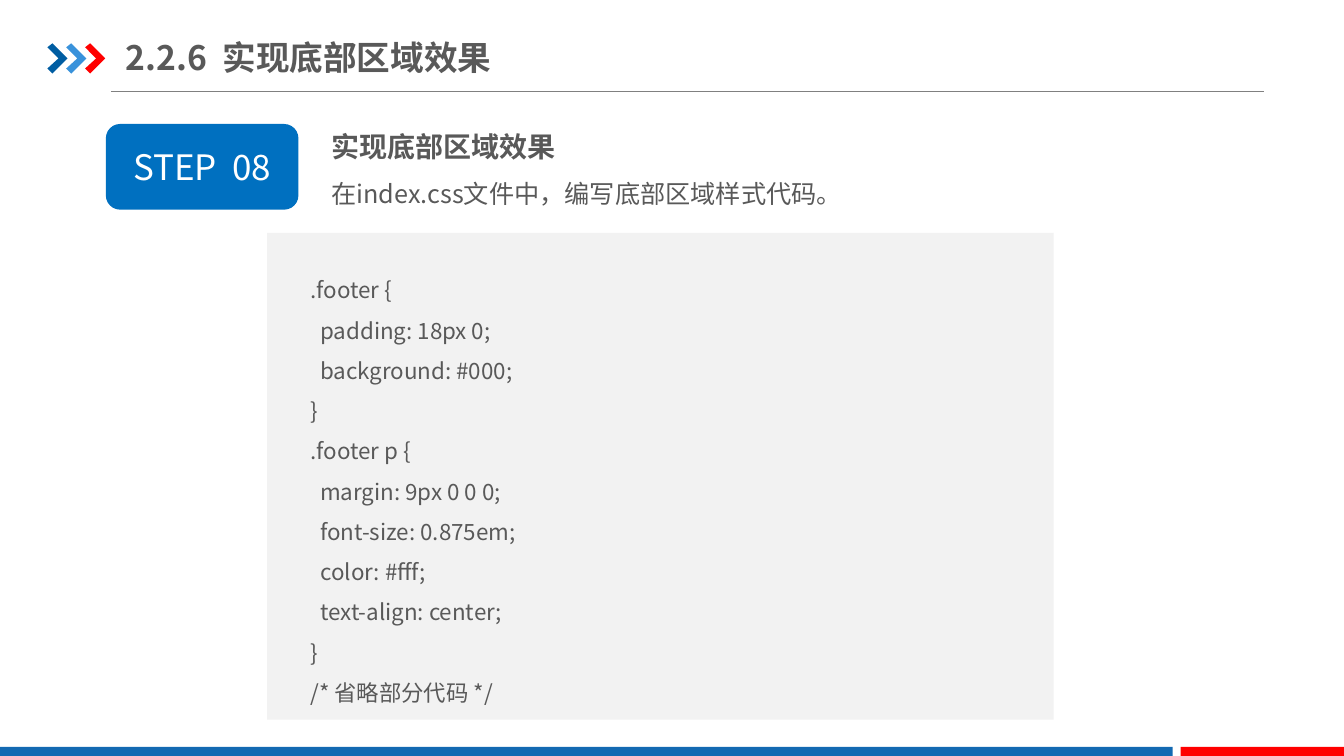
from dataclasses import dataclass

from lxml import etree
from pptx import Presentation
from pptx import util as u
from pptx.dml.color import RGBColor
from pptx.enum import shapes, text
from pptx.oxml.ns import qn

COLUMNS, ROWS = 133.3, 75
CELL = u.Inches(0.1)

CODE = """.footer {
  padding: 18px 0;
  background: #000;
}
.footer p {
  margin: 9px 0 0 0;
  font-size: 0.875em;
  color: #fff;
  text-align: center;
}
/* 省略部分代码 */"""


@dataclass(frozen=True)
class Theme:
    font: str = "Noto Sans CJK SC"
    ink: str = "595959"
    white: str = "FFFFFF"
    rule: str = "808080"
    panel: str = "F2F2F2"
    badge: str = "0070C0"
    footer: str = "1369B2"
    accent: str = "FF0000"
    chevrons: tuple = ("005DA2", "3992DB", "FF0000")
    title_size: int = 24
    badge_size: int = 25
    heading_size: int = 20
    body_size: int = 18
    code_size: int = 16


def cells(*counts):
    return [u.Emu(round(count * CELL)) for count in counts]


class SlideBuilder:
    """Draws on one slide; lengths are columns and rows of the grid."""

    def __init__(self, slide, theme):
        self.slide = slide
        self.theme = theme

    def paint(self, shape, color):
        shape.shadow.inherit = False
        shape.fill.solid()
        shape.fill.fore_color.rgb = RGBColor.from_string(color)
        shape.line.fill.background()

    def block(self, left, top, width, height, color,
              kind=shapes.MSO_SHAPE.RECTANGLE):
        shape = self.slide.shapes.add_shape(kind, *cells(left, top, width, height))
        self.paint(shape, color)
        return shape

    def rule(self, left, right, row):
        line = self.slide.shapes.add_connector(
            shapes.MSO_CONNECTOR.STRAIGHT, *cells(left, row, right, row))
        line.line.color.rgb = RGBColor.from_string(self.theme.rule)
        line.line.width = u.Pt(0.75)
        etree.SubElement(line._element.spPr, qn("a:effectLst"))

    def chevron(self, left, top, color):
        outline = [(0, 0.4), (0.5, 0), (2, 1.5), (0.5, 3), (0, 2.5), (1.1, 1.5)]
        points = [cells(left + x, top + y) for x, y in outline]
        builder = self.slide.shapes.build_freeform(*points[0])
        builder.add_line_segments(points[1:], close=True)
        self.paint(builder.convert_to_shape(), color)

    def style(self, paragraph, size, color, bold=False, spacing=None):
        font = paragraph.font
        font.name, font.size, font.bold = self.theme.font, u.Pt(size), bold
        font.color.rgb = RGBColor.from_string(color)
        if spacing:
            paragraph.line_spacing = spacing
        properties = paragraph._p.pPr.find(qn("a:defRPr"))
        etree.SubElement(properties, qn("a:ea"), typeface=self.theme.font)

    def text_box(self, left, top, width, height, lines, spacing=None):
        """Add a text box; each line is (wording, size, bold)."""
        box = self.slide.shapes.add_textbox(*cells(left, top, width, height))
        frame = box.text_frame
        frame.word_wrap = True
        frame.text = "\n".join(wording for wording, _, _ in lines)
        for paragraph, (_, size, bold) in zip(frame.paragraphs, lines):
            self.style(paragraph, size, self.theme.ink, bold, spacing)
        return frame

    def title(self, wording):
        frame = self.text_box(12.5, 2.9, 53.4, 5.5,
                              [(wording, self.theme.title_size, True)])
        frame.margin_left = frame.margin_right = 0
        frame.vertical_anchor = text.MSO_ANCHOR.MIDDLE

    def badge(self, wording):
        shape = self.block(10.5, 12.3, 19.1, 8.5, self.theme.badge,
                           shapes.MSO_SHAPE.ROUNDED_RECTANGLE)
        frame = shape.text_frame
        frame.margin_left = frame.margin_right = 0
        frame.vertical_anchor = text.MSO_ANCHOR.MIDDLE
        frame.text = wording
        paragraph = frame.paragraphs[0]
        paragraph.alignment = text.PP_ALIGN.CENTER
        self.style(paragraph, self.theme.badge_size, self.theme.white)


def main():
    presentation = Presentation()
    presentation.slide_width, presentation.slide_height = cells(COLUMNS, ROWS)
    slide = presentation.slides.add_slide(presentation.slide_layouts[6])
    theme = Theme()
    builder = SlideBuilder(slide, theme)

    builder.rule(11, 125.4, 9.1)
    for index, color in enumerate(theme.chevrons):
        builder.chevron(4.7 + 1.87 * index, 4.3, color)
    builder.block(0, 74.1, 116.3, 0.9, theme.footer)
    builder.block(117.1, 74.1, COLUMNS - 117.1, 0.9, theme.accent)

    builder.title("2.2.6  实现底部区域效果")
    builder.badge("STEP  08")
    builder.text_box(31.9, 10.7, 94.6, 10.6, [
        ("实现底部区域效果", theme.heading_size, True),
        ("在index.css文件中，编写底部区域样式代码。", theme.body_size, False),
    ], spacing=1.5)

    builder.block(26.5, 23.1, 78, 48.3, theme.panel)
    builder.text_box(29.8, 25.6, 74.6, 45.4,
                     [(line, theme.code_size, False) for line in CODE.splitlines()],
                     spacing=1.5)
    presentation.save("out.pptx")


if __name__ == "__main__":
    main()
